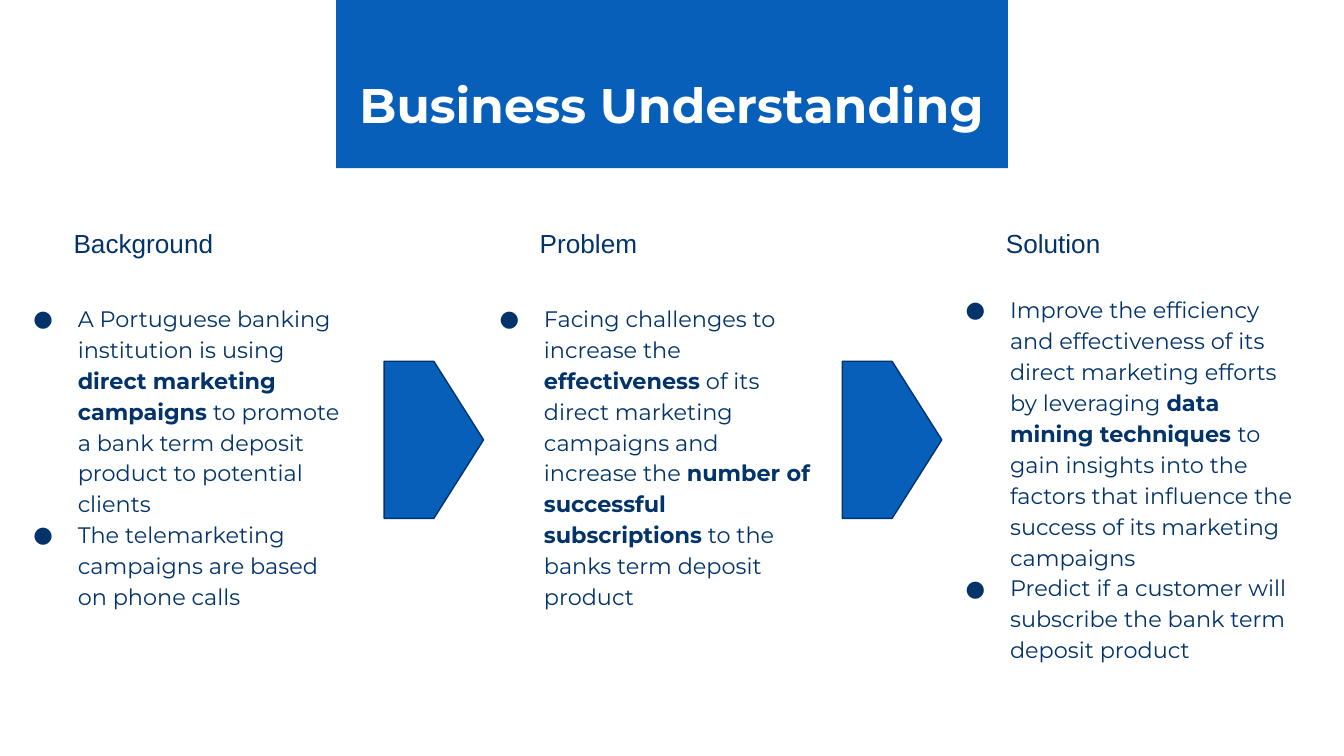
"""Build the Business Understanding slide: three columns linked by two arrows."""
import pptx
import pptx.dml.color
import pptx.enum.shapes
import pptx.enum.text
import pptx.oxml
import pptx.oxml.ns
import pptx.util

Cm, Pt = pptx.util.Cm, pptx.util.Pt
ALIGN, ANCHOR = pptx.enum.text.PP_ALIGN, pptx.enum.text.MSO_ANCHOR
BLUE, NAVY, WHITE = "085FBA", "02336A", "FFFFFF"
FONT = "Montserrat"

TITLE = "Business Understanding"
COLUMNS = [
    dict(head="Background", wide=5.51, box=(4.88, 6.93, 6.78), items=[
        "A Portuguese banking institution is using **direct marketing campaigns** "
        "to promote a bank term deposit product to potential clients",
        "The telemarketing campaigns are based on phone calls"]),
    dict(head="Problem", wide=2.77, box=(4.88, 6.93, 7.16), items=[
        "Facing challenges to increase the **effectiveness** of its direct marketing "
        "campaigns and increase the **number of successful subscriptions** "
        "to the banks term deposit product"]),
    dict(head="Solution", wide=8.36, box=(4.72, 7.26, 8.69), items=[
        "Improve the efficiency and effectiveness of its direct marketing efforts "
        "by leveraging **data mining techniques **to gain insights into the factors "
        "that influence the success of its marketing campaigns",
        "Predict if a customer will subscribe the bank term deposit product"]),
]
LEFT, STEP, SHIFT = -0.05, 8.81, 1.19
ARROWS, GAP = 7.26, 8.66


def tint(color, code):
    color.rgb = pptx.dml.color.RGBColor.from_string(code)


def fill(shape, code):
    shape.fill.solid()
    tint(shape.fill.fore_color, code)


def place(shape, *box):
    shape.left, shape.top, shape.width, shape.height = map(Cm, box)


def dot(para):
    props = para._p.get_or_add_pPr()
    props.set("marL", str(Cm(1.27)))
    props.set("indent", str(Cm(-0.84)))
    space = pptx.oxml.ns.nsdecls("a")
    for xml in (f'<a:buClr {space}><a:srgbClr val="{NAVY}"/></a:buClr>',
                f'<a:buFont {space} typeface="{FONT}"/>',
                f'<a:buChar {space} char="●"/>'):
        props.append(pptx.oxml.parse_xml(xml))


def write(shape, lines, size=12, font=FONT, color=NAVY, bold=False, align=ALIGN.LEFT,
          anchor=ANCHOR.TOP, top=0.25, bottom=0.25, pitch=1.0, bullet=False):
    frame = shape.text_frame
    frame.word_wrap = True
    frame.auto_size = pptx.enum.text.MSO_AUTO_SIZE.NONE
    frame.vertical_anchor = anchor
    frame.margin_left = frame.margin_right = Cm(0.25)
    frame.margin_top, frame.margin_bottom = Cm(top), Cm(bottom)
    for row, line in enumerate(lines):
        para = frame.add_paragraph() if row else frame.paragraphs[0]
        para.alignment, para.line_spacing = align, pitch
        para.space_before = para.space_after = Pt(0)
        if bullet:
            dot(para)
        for part, text in enumerate(line.split("**")):
            run = para.add_run()
            run.text = text
            run.font.size, run.font.name = Pt(size), font
            run.font.bold = bold or part % 2 == 1
            tint(run.font.color, color)


def main():
    deck = pptx.Presentation()
    deck.slide_width, deck.slide_height = Cm(25.4), Cm(14.29)
    slide = deck.slides.add_slide(deck.slide_layouts.get_by_name("Comparison"))
    title, *slots = slide.placeholders

    place(title, 6.35, 0, 12.7, 3.18)
    fill(title, BLUE)
    write(title, [TITLE], size=26, color=WHITE, bold=True, align=ALIGN.CENTER,
          anchor=ANCHOR.MIDDLE, top=0.76, bottom=0)

    slots += [slide.shapes.add_textbox(0, 0, 0, 0) for _ in range(2)]
    for col, (data, head, body) in enumerate(zip(COLUMNS, slots[::2], slots[1::2])):
        left = LEFT + col * STEP
        top, width, height = data["box"]
        place(head, left + SHIFT, 4.04, data["wide"], 1.09)
        write(head, [data["head"]], size=14, font="Arial")
        place(body, left, top, width, height)
        write(body, data["items"], top=0.81, pitch=1.15, bullet=True)

    for step in range(len(COLUMNS) - 1):
        arrow = slide.shapes.add_shape(pptx.enum.shapes.MSO_SHAPE.PENTAGON, 0, 0, 0, 0)
        place(arrow, ARROWS + step * GAP, 6.83, 1.88, 2.97)
        arrow.shadow.inherit = False
        fill(arrow, BLUE)
        tint(arrow.line.color, NAVY)
        arrow.line.width = Pt(0.75)

    deck.save("out.pptx")


if __name__ == "__main__":
    main()
